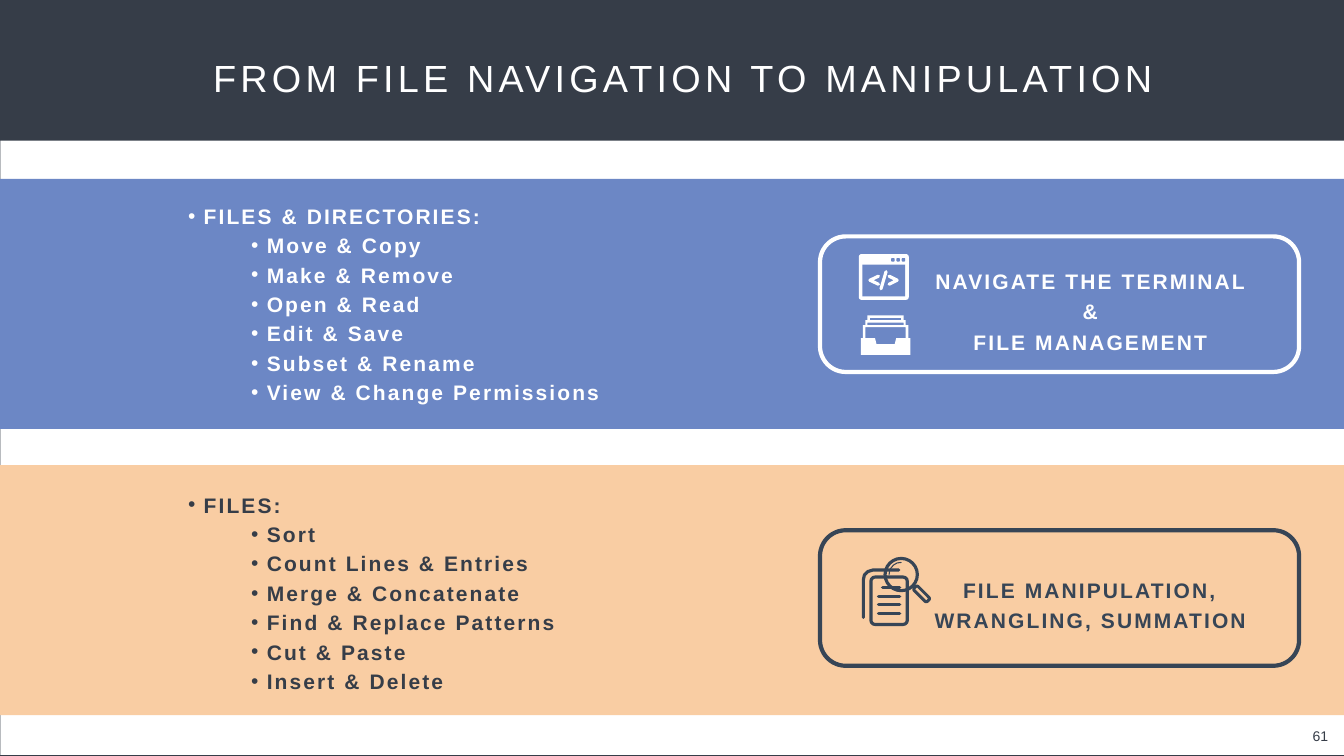
import pptx
import pptx.util
import pptx.dml.color
import pptx.enum.shapes
import pptx.enum.text
import pptx.oxml
import pptx.oxml.ns
from dataclasses import dataclass

KIND = pptx.enum.shapes.MSO_SHAPE
ALIGN = pptx.enum.text.PP_ALIGN
COLS, ROWS = 26.65, 15  # grid of one-inch cells


@dataclass
class Theme:
    font: str = "Arial"
    dark: str = "363D48"
    navy: str = "374556"
    white: str = "FFFFFF"
    blue: str = "6C87C5"
    peach: str = "F9CDA3"
    head: int = 54
    body: int = 30
    note: int = 20


def cell(n):
    return pptx.util.Inches(n)


def rgb(hue):
    return pptx.dml.color.RGBColor.from_string(hue)


def node(root, tag, **attrs):
    kid = pptx.oxml.parse_xml(f'<a:{tag} {pptx.oxml.ns.nsdecls("a")}/>')
    for key, val in attrs.items():
        kid.set(key, val)
    root.append(kid)


class Deck:
    def __init__(self, theme):
        self.theme = theme
        self.file = pptx.Presentation()
        self.file.slide_width, self.file.slide_height = cell(COLS), cell(ROWS)

    def start(self, back):
        self.slide = self.file.slides.add_slide(self.file.slide_layouts[3])
        self.shapes = self.slide.shapes
        fill = self.slide.background.fill
        fill.solid()
        fill.fore_color.rgb = rgb(back)

    def paint(self, shape, fill=None, line=None, width=6):
        shape.shadow.inherit = False
        if fill:
            shape.fill.solid()
            shape.fill.fore_color.rgb = rgb(fill)
        else:
            shape.fill.background()
        if line:
            shape.line.color.rgb = rgb(line)
            shape.line.width = pptx.util.Pt(width)
        else:
            shape.line.fill.background()
        return shape

    def block(self, kind, box, fill=None, line=None, width=6, bend=None, turn=0):
        shape = self.shapes.add_shape(kind, *map(cell, box))
        if bend is not None:
            shape.adjustments[0] = bend
        shape.rotation = turn
        return self.paint(shape, fill, line, width)

    def trace(self, paths, fill=None, line=None, width=6):
        paths = [[(cell(x), cell(y)) for x, y in path] for path in paths]
        pen = self.shapes.build_freeform(*paths[0][0], scale=1.0)
        for n, path in enumerate(paths):
            if n:
                pen.move_to(*path[0])
            pen.add_line_segments(path[1:], close=bool(fill))
        shape = self.paint(pen.convert_to_shape(), fill, line, width)
        if line:
            shape.line._get_or_add_ln().set("cap", "rnd")

    def frame(self, shape, box, pad=0.05, wrap=True):
        shape.left, shape.top, shape.width, shape.height = map(cell, box)
        text = shape.text_frame
        text.auto_size = pptx.enum.text.MSO_AUTO_SIZE.NONE
        text.word_wrap = wrap
        text.vertical_anchor = pptx.enum.text.MSO_ANCHOR.TOP
        text.margin_left = text.margin_right = cell(pad)
        text.margin_top = text.margin_bottom = cell(pad)
        return text

    def style(self, para, size, hue, bold=False, track=0):
        font = para.font
        font.name, font.size, font.bold = self.theme.font, pptx.util.Pt(size), bold
        font.color.rgb = rgb(hue)
        if track:
            props = para._p.pPr.find(pptx.oxml.ns.qn("a:defRPr"))
            props.set("spc", str(track * 100))

    def front(self, shape):
        shape.element.getparent().append(shape.element)

    def title(self, words, box):
        shape = self.shapes.title
        self.front(shape)
        text = self.frame(shape, box, wrap=False)
        text.text = words
        para = text.paragraphs[0]
        para.alignment = ALIGN.CENTER
        self.style(para, self.theme.head, self.theme.white, track=6)

    def items(self, slot, box, lines, hue):
        shape = self.slide.placeholders[slot]
        self.front(shape)
        text = self.frame(shape, box)
        text.text = "\n".join(lines)
        for n, para in enumerate(text.paragraphs):
            para.level = 3 if n else 0
            para.line_spacing = pptx.util.Pt(42)
            para.space_before = pptx.util.Pt(0)
            props = para._p.get_or_add_pPr()
            props.set("marL", str(cell(1.56 if n else 0.31)))
            props.set("indent", str(cell(-0.31)))
            node(props, "buFont", typeface=self.theme.font)
            node(props, "buChar", char="•")
            self.style(para, self.theme.body, hue, True, 3)

    def label(self, words, box, size, hue, bold=False, track=0, pad=0.05, gap=1.0):
        text = self.frame(self.shapes.add_textbox(0, 0, 0, 0), box, pad)
        text.text = words
        for para in text.paragraphs:
            para.alignment = ALIGN.CENTER
            para.line_spacing = gap
            self.style(para, size, hue, bold, track)


def rect(x, y, right, low):
    return [(x, y), (right, y), (right, low), (x, low)]


def window(deck, ink, back):
    deck.block(KIND.ROUNDED_RECTANGLE, (17.03, 5.04, 0.99, 0.91), ink, bend=0.06)
    deck.block(KIND.RECTANGLE, (17.1, 5.25, 0.85, 0.63), back)
    for n in range(3):
        deck.block(KIND.ROUNDED_RECTANGLE, (17.67 + n * 0.105, 5.12, 0.07, 0.07), back, bend=0.3)
    code = [[(17.42, 5.48), (17.25, 5.56), (17.42, 5.64)],
            [(17.57, 5.39), (17.47, 5.73)],
            [(17.63, 5.48), (17.79, 5.56), (17.63, 5.64)]]
    deck.trace(code, line=ink, width=4.5)


def tray(deck, ink):
    rim = [(17.07, 6.71), (17.11, 6.71), (17.11, 6.45), (17.16, 6.45), (17.16, 6.35),
           (17.2, 6.35), (17.2, 6.26)]
    edge = rim + [(35.12 - x, y) for x, y in reversed(rim)] + [(18.05, 7.04), (17.07, 7.04)]
    well = [(17.16, 6.49), (17.96, 6.49), (17.96, 6.71), (17.77, 6.71),
            (17.74, 6.83), (17.38, 6.83), (17.35, 6.71), (17.16, 6.71)]
    deck.trace([edge, rect(17.25, 6.31, 17.87, 6.35), rect(17.2, 6.4, 17.92, 6.45), well], ink)


def search(deck, ink):
    # Magnifier: lens, handle, glint
    deck.block(KIND.OVAL, (17.55, 11.08, 0.64, 0.64), line=ink, width=4.5)
    deck.block(KIND.ROUNDED_RECTANGLE, (18.09, 11.73, 0.37, 0.11), line=ink, width=4.2, bend=0.3, turn=45)
    glint = [[(17.63, 11.4), (17.64, 11.34)],
             [(17.66, 11.28), (17.72, 11.21), (17.79, 11.17), (17.87, 11.16)]]
    deck.trace(glint, line=ink, width=1.5)
    # Pages
    deck.block(KIND.ROUNDED_RECTANGLE, (17.27, 11.45, 0.72, 0.94), line=ink, width=4.5, bend=0.11)
    rows = [[(17.42 if n else 17.5, 11.66 + n * 0.17), (17.84, 11.66 + n * 0.17)] for n in range(4)]
    back = [(17.12, 12.25), (17.12, 11.5), (17.14, 11.41), (17.21, 11.34), (17.31, 11.31), (17.82, 11.31)]
    deck.trace(rows + [back], line=ink, width=4.5)


def main():
    look = Theme()
    deck = Deck(look)
    deck.start(look.dark)

    # Page and title
    deck.block(KIND.RECTANGLE, (0.01, 2.79, COLS, 12.19), look.white)
    deck.title("FROM FILE NAVIGATION TO MANIPULATION", (4.13, 1.04, 18.84, 1))

    # Bands: tops of band, list, card and label, then colours and words
    bands = [
        (3.55, 3.9, 4.69, 5.18, look.blue, look.white, look.white,
         ["FILES & DIRECTORIES:", "Move & Copy", "Make & Remove", "Open & Read",
          "Edit & Save", "Subset & Rename", "View & Change Permissions"],
         "NAVIGATE THE TERMINAL\n&\nFILE MANAGEMENT"),
        (9.23, 9.63, 10.52, 11.3, look.peach, look.dark, look.navy,
         ["FILES:", "Sort", "Count Lines & Entries", "Merge & Concatenate",
          "Find & Replace Patterns", "Cut & Paste", "Insert & Delete"],
         "FILE MANIPULATION, WRANGLING, SUMMATION"),
    ]
    for slot, (top, list_y, card_y, word_y, fill, text, ink, lines, words) in enumerate(bands, 1):
        deck.block(KIND.RECTANGLE, (0, top, COLS, 4.96), fill)
        deck.items(slot, (3.68, list_y, 10.32, 4.16), lines, text)
        deck.block(KIND.ROUNDED_RECTANGLE, (16.26, card_y, 9.5, 2.69), line=ink, bend=0.19)
        deck.label(words, (18.42, word_y, 6.4, 1.88 if slot == 1 else 1.28),
                   look.body, ink, True, 3, gap=1.2)

    # Icons
    window(deck, look.white, look.blue)
    tray(deck, look.white)
    search(deck, look.navy)

    # Page number
    deck.label("61", (25.92, 14.33, 0.52, 0.53), look.note, look.dark, pad=0.1)
    deck.file.save("out.pptx")


if __name__ == "__main__":
    main()
